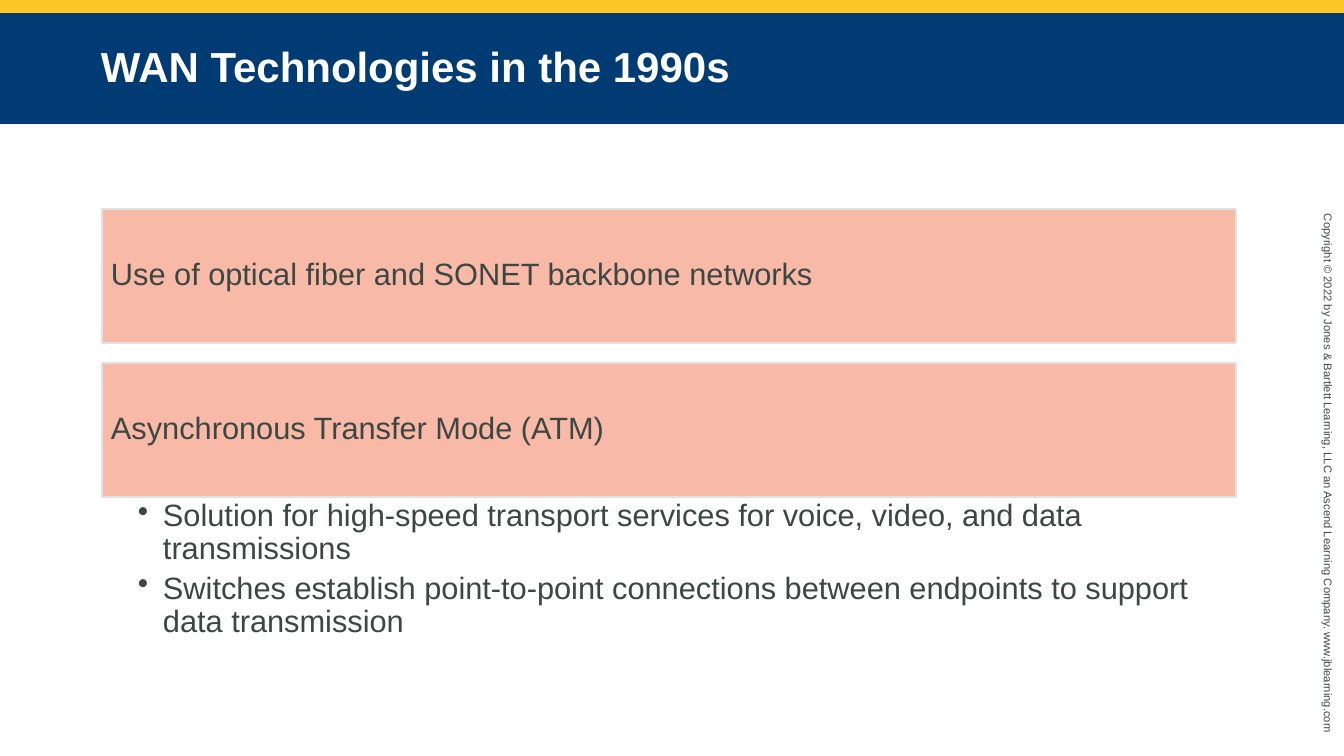
from lxml import etree
from pptx import Presentation
from pptx.dml.color import RGBColor
from pptx.enum.shapes import MSO_SHAPE as Shape
from pptx.enum.text import MSO_ANCHOR as Anchor, PP_ALIGN as Align
from pptx.oxml.ns import qn
from pptx.util import Pt

TITLE = "WAN Technologies in the 1990s"
TOPICS = [
    "Use of optical fiber and SONET backbone networks",
    "Asynchronous Transfer Mode (ATM)",
]
ATM_POINTS = [
    "Solution for high-speed transport services for voice, video, and data transmissions",
    "Switches establish point-to-point connections between endpoints to support data transmission",
]
COPYRIGHT = ("Copyright © 2022 by Jones & Bartlett Learning, LLC "
             "an Ascend Learning Company. www.jblearning.com")

GOLD = RGBColor(0xFF, 0xC4, 0x25)
NAVY = RGBColor(0x00, 0x3B, 0x74)
SALMON = RGBColor(0xF9, 0xB9, 0xA7)
PALE_GRAY = RGBColor(0xE1, 0xE1, 0xE1)
DARK_GRAY = RGBColor(0x3C, 0x47, 0x43)
WHITE = RGBColor(0xFF, 0xFF, 0xFF)

# Lengths in px
SLIDE_W, SLIDE_H = 1344, 756
GOLD_H, TITLE_H = 13, 111
LEFT, TOPIC_TOP, TOPIC_W, TOPIC_H, TOPIC_GAP = 102, 209, 1134, 134, 20
POINTS_H, POINT_INDENT = 141, 25

TITLE_FONT = {"name": "Arial", "size": Pt(30), "bold": True}
BODY_FONT = {"name": "Arial", "size": Pt(22)}
COPYRIGHT_FONT = {"name": "Arial", "size": Pt(8)}


def px(length):
    return round(length * 914400 / 100.8)


def add_bar(slide, box, fill, outline=None):
    bar = slide.shapes.add_shape(Shape.RECTANGLE, *map(px, box))
    bar.shadow.inherit = False
    bar.fill.solid()
    bar.fill.fore_color.rgb = fill
    if outline is None:
        bar.line.fill.background()
    else:
        bar.line.color.rgb = outline
        bar.line.width = Pt(1)
    return bar


def add_bullet(paragraph):
    properties = paragraph._p.get_or_add_pPr()
    properties.set("marL", str(px(POINT_INDENT)))
    properties.set("indent", str(-px(POINT_INDENT)))
    etree.SubElement(properties, qn("a:buChar")).set("char", "•")


def write(holder, lines, font, color, insets, anchor=Anchor.MIDDLE,
          line_spacing=1.0, space_after=0, bulleted=False):
    """Fill a shape with one paragraph per line; insets run left, top, right, bottom."""
    frame = holder.text_frame
    frame.word_wrap = True
    frame.vertical_anchor = anchor
    for side, inset in zip(("left", "top", "right", "bottom"), insets):
        setattr(frame, f"margin_{side}", px(inset))
    for index, line in enumerate(lines):
        paragraph = frame.paragraphs[0] if index == 0 else frame.add_paragraph()
        paragraph.add_run().text = line
        if bulleted:
            add_bullet(paragraph)
        paragraph.alignment = Align.LEFT
        paragraph.line_spacing = line_spacing
        paragraph.space_after = Pt(space_after)
        for key, value in font.items():
            setattr(paragraph.runs[0].font, key, value)
        paragraph.runs[0].font.color.rgb = color


def main():
    deck = Presentation()
    deck.slide_width, deck.slide_height = px(SLIDE_W), px(SLIDE_H)
    slide = deck.slides.add_slide(deck.slide_layouts[6])

    add_bar(slide, (0, 0, SLIDE_W, GOLD_H), GOLD)
    copyright_line = slide.shapes.add_textbox(*map(px, (1052, 468, 552, 24)))
    copyright_line.rotation = 90
    write(copyright_line, [COPYRIGHT], COPYRIGHT_FONT, DARK_GRAY, (10, 5, 10, 5), Anchor.TOP)

    title_bar = add_bar(slide, (0, GOLD_H, SLIDE_W, TITLE_H), NAVY)
    write(title_bar, [TITLE], TITLE_FONT, WHITE, (101, 5, 101, 5), line_spacing=0.95)

    for index, topic in enumerate(TOPICS):
        top = TOPIC_TOP + index * (TOPIC_H + TOPIC_GAP)
        topic_bar = add_bar(slide, (LEFT, top, TOPIC_W, TOPIC_H), SALMON, PALE_GRAY)
        write(topic_bar, [topic], BODY_FONT, DARK_GRAY, (9, 9, 9, 9), line_spacing=0.9)

    points_top = TOPIC_TOP + len(TOPICS) * (TOPIC_H + TOPIC_GAP) - TOPIC_GAP
    atm_points = slide.shapes.add_textbox(*map(px, (LEFT, points_top, TOPIC_W, POINTS_H)))
    write(atm_points, ATM_POINTS, BODY_FONT, DARK_GRAY, (36, 3, 17, 3), Anchor.TOP,
          line_spacing=0.9, space_after=4.4, bulleted=True)

    deck.save("out.pptx")


if __name__ == "__main__":
    main()
